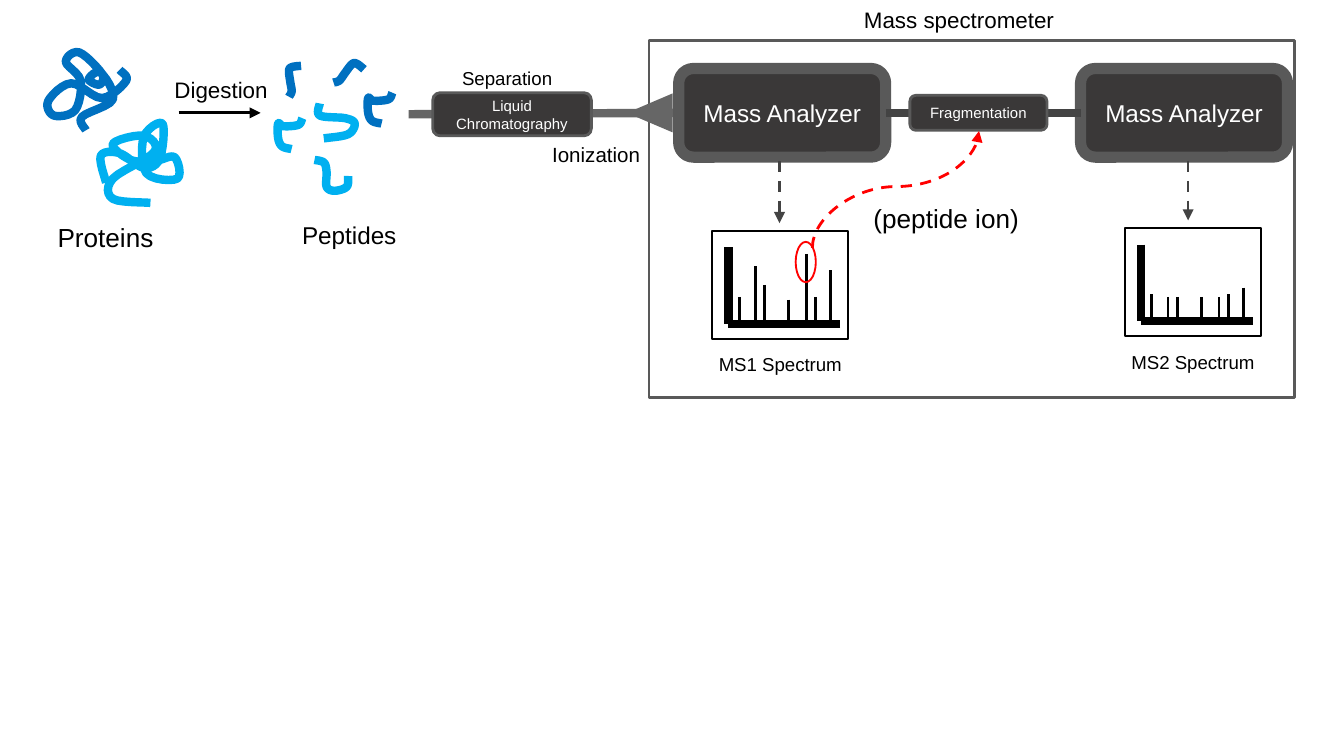
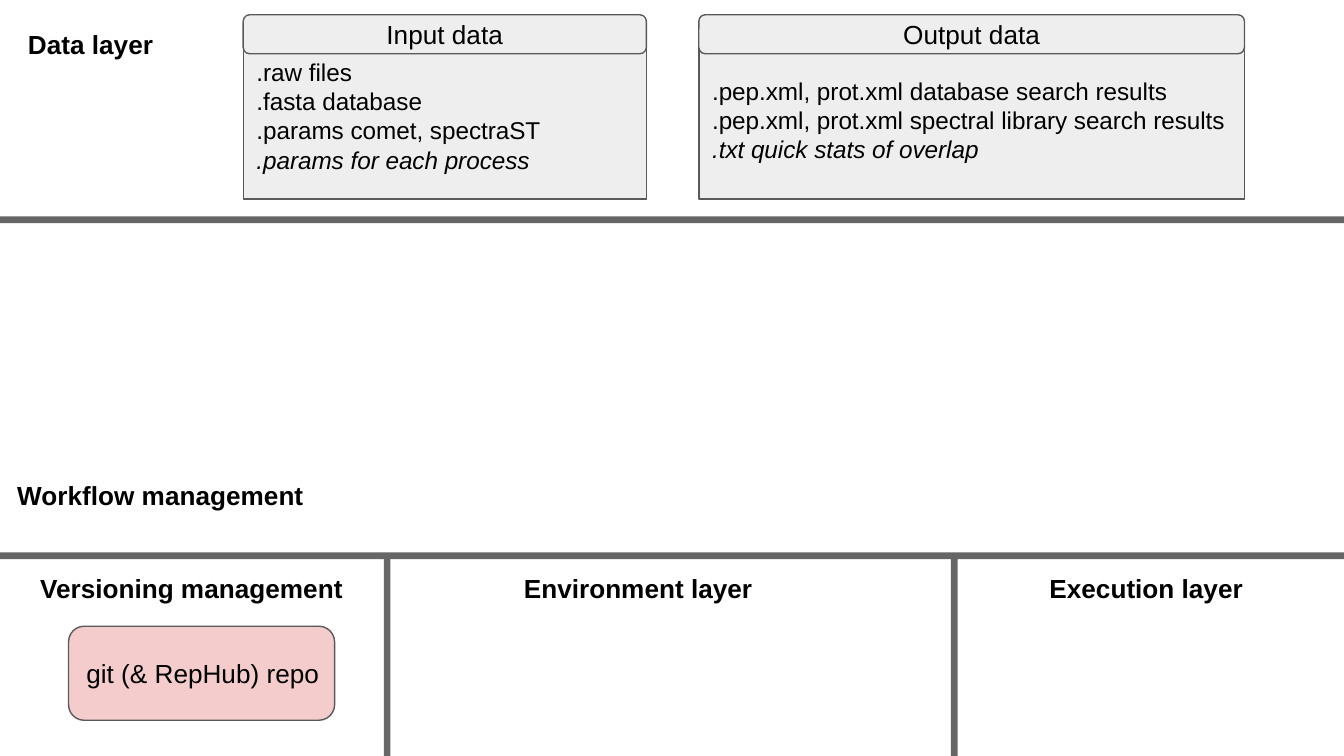
from lxml import etree
from pptx import Presentation
from pptx.dml.color import RGBColor
from pptx.enum.dml import MSO_LINE
from pptx.enum.shapes import MSO_CONNECTOR, MSO_SHAPE
from pptx.enum.text import MSO_ANCHOR, PP_ALIGN
from pptx.oxml.ns import qn
from pptx.util import Inches, Pt

RECTANGLE, ROUNDED = MSO_SHAPE.RECTANGLE, MSO_SHAPE.ROUNDED_RECTANGLE
STRAIGHT, CURVE = MSO_CONNECTOR.STRAIGHT, MSO_CONNECTOR.CURVE
LEFT, CENTER = PP_ALIGN.LEFT, PP_ALIGN.CENTER
LEFT_SIDE, RIGHT_SIDE = 1, 3

FONT = "Arial"
BLACK, WHITE, RED = "000000", "FFFFFF", "FF0000"
OUTLINE, BAND, DARK_LINE = "595959", "666666", "434343"
DEVICE, PANEL, PINK = "3A3838", "EEEEEE", "F4CCCC"
DARK_BLUE, LIGHT_BLUE = "0070C0", "00B0F0"
THIN, MEDIUM, THICK = 0.75, 1.5, 4.5
HUNDREDTH = Inches(0.01)


def add_box(slide, kind, box, text="", size=14, fill=None, line=None, width=THIN,
            colour=BLACK, align=LEFT, bold=False, inset=0.1):
    """Add a preset shape, or a text box when kind is None; box is left, top, width, height."""
    frame = [Inches(length) for length in box]
    if kind is None:
        shape = slide.shapes.add_textbox(*frame)
    else:
        shape = slide.shapes.add_shape(kind, *frame)
        shape.shadow.inherit = False
        if fill:
            shape.fill.solid()
            shape.fill.fore_color.rgb = RGBColor.from_string(fill)
        else:
            shape.fill.background()
        if line:
            shape.line.color.rgb = RGBColor.from_string(line)
            shape.line.width = Pt(width)
        else:
            shape.line.fill.background()
    if text:
        text_frame = shape.text_frame
        text_frame.word_wrap = True
        text_frame.vertical_anchor = MSO_ANCHOR.TOP if kind is None else MSO_ANCHOR.MIDDLE
        text_frame.margin_left = text_frame.margin_right = Inches(0.1)
        text_frame.margin_top = text_frame.margin_bottom = Inches(inset)
        text_frame.text = text
        for paragraph in text_frame.paragraphs:
            paragraph.alignment = align
            for run in paragraph.runs:
                run.font.name = FONT
                run.font.size = Pt(size)
                run.font.bold = bold
                run.font.color.rgb = RGBColor.from_string(colour)
    return shape


def add_line(slide, begin, end, colour, width, dash=False, arrow=False, kind=STRAIGHT):
    connector = slide.shapes.add_connector(kind, *[Inches(length) for length in (*begin, *end)])
    connector.line.color.rgb = RGBColor.from_string(colour)
    connector.line.width = Pt(width)
    if dash:
        connector.line.dash_style = MSO_LINE.DASH
    properties = connector.element.spPr
    if arrow:
        etree.SubElement(properties.find(qn("a:ln")), qn("a:tailEnd"), type="triangle")
    etree.SubElement(properties, qn("a:effectLst"))
    return connector


presentation = Presentation()
presentation.slide_width = Inches(10)
presentation.slide_height = Inches(10 * 9 / 16)
blank_layout = presentation.slide_layouts[6]

# Slide 1: from proteins to spectra
slide = presentation.slides.add_slide(blank_layout)
add_box(slide, RECTANGLE, (4.83, 0.3, 4.8, 2.66), line=OUTLINE, width=MEDIUM)

# Each outline lists only its turning points, in hundredths of an inch from its left top corner
comma = [(9, 0), (2, 1), (0, 4), (1, 12), (2, 19), (0, 23)]
hook = [(11, 23), (4, 21), (1, 15), (1, 4), (5, 6), (16, 5), (19, 0)]
bracket = [(1, 0), (1, 9), (20, 11), (27, 15), (22, 23), (4, 26)]
cup = [(0, 0), (7, 2), (9, 9), (9, 20), (15, 23), (24, 20), (25, 12)]
light_tangle = [(6, 46), (2, 26), (16, 24), (34, 35), (46, 28), (48, 2), (34, 12), (36, 39),
                (59, 43), (57, 27), (42, 30), (24, 29), (11, 17), (34, 11), (42, 23),
                (11, 43), (11, 58), (39, 61)]
dark_tangle = [(55, 13), (60, 21), (42, 34), (19, 23), (2, 36), (6, 47), (22, 43), (26, 21),
               (15, 7), (25, 0), (42, 16), (40, 24), (32, 20), (41, 15), (50, 35), (27, 48),
               (30, 58)]
strands = [  # outline, colour, left, top, rotation
    (light_tangle, LIGHT_BLUE, 0.73, 0.9, 0),
    (dark_tangle, DARK_BLUE, 0.34, 0.39, 0),
    (comma, DARK_BLUE, 2.15, 0.49, 0),
    (comma, DARK_BLUE, 2.55, 0.45, 45),
    (bracket, LIGHT_BLUE, 2.37, 0.77, 0),
    (hook, LIGHT_BLUE, 2.06, 0.88, 0),
    (hook, DARK_BLUE, 2.73, 0.69, 0),
    (cup, LIGHT_BLUE, 2.34, 1.19, 0),
]
STEPS = 6
for outline, colour, left, top, rotation in strands:
    # A Catmull-Rom spline rounds the path through the turning points
    curve_points = []
    neighbours = zip(outline[:1] + outline, outline, outline[1:], outline[2:] + outline[-1:])
    for quartet in neighbours:
        for step in range(1, STEPS + 1):
            t = step / STEPS
            curve_points.append([
                HUNDREDTH / 2 * (2 * start + (end - before) * t
                                 + (2 * before - 5 * start + 4 * end - after) * t ** 2
                                 + (3 * start - before - 3 * end + after) * t ** 3)
                for before, start, end, after in zip(*quartet)])
    first_x, first_y = outline[0]
    builder = slide.shapes.build_freeform(first_x * HUNDREDTH, first_y * HUNDREDTH)
    builder.add_line_segments(curve_points, close=False)
    strand = builder.convert_to_shape(Inches(left), Inches(top))
    strand.rotation = rotation
    strand.shadow.inherit = False
    strand.fill.background()
    strand.line.color.rgb = RGBColor.from_string(colour)
    strand.line.width = Pt(THICK)

add_line(slide, (1.33, 0.84), (1.94, 0.84), BLACK, MEDIUM, arrow=True)
add_line(slide, (3.04, 0.85), (5.01, 0.84), BAND, THICK)

first_analyzer, second_analyzer = [
    add_box(slide, ROUNDED, (left, 0.51, 1.54, 0.66), "Mass Analyzer", 13, DEVICE, OUTLINE, 6,
            WHITE, CENTER, inset=0.05)
    for left in (5.05, 8.04)]
analyzer_link = add_line(slide, (6.59, 0.84), (8.04, 0.84), DARK_LINE, THICK)
analyzer_link.begin_connect(first_analyzer, RIGHT_SIDE)
analyzer_link.end_connect(second_analyzer, LEFT_SIDE)

for text, box in [("Liquid Chromatography", (3.22, 0.69, 1.18, 0.32)),
                  ("Fragmentation", (6.77, 0.71, 1.02, 0.26))]:
    add_box(slide, ROUNDED, box, text, 8, DEVICE, OUTLINE, MEDIUM, WHITE, CENTER, inset=0.05)

peak_offsets = (0.2, 0.32, 0.39, 0.57, 0.7, 0.77, 0.88)
spectra = [  # name, left, top, arrow position, peak heights
    ("MS1 Spectrum", 5.3, 1.72, 5.8, (0.19, 0.42, 0.28, 0.17, 0.51, 0.19, 0.39)),
    ("MS2 Spectrum", 8.37, 1.7, 8.84, (0.19, 0.17, 0.17, 0.17, 0.17, 0.19, 0.24)),
]
for name, left, top, arrow_x, peak_heights in spectra:
    add_box(slide, RECTANGLE, (left, top, 1.01, 0.8), fill=WHITE, line=BLACK, width=1)
    axis_x, baseline = left + 0.12, top + 0.69
    add_line(slide, (axis_x, top + 0.12), (axis_x, baseline), BLACK, THICK)
    for offset, height in zip(peak_offsets, peak_heights):
        peak_x, foot = left + offset, baseline - 0.01
        add_line(slide, (peak_x, foot - height), (peak_x, foot), BLACK, MEDIUM)
    add_line(slide, (left + 0.95, baseline), (axis_x, baseline), BLACK, THICK)
    add_box(slide, None, (left - 0.05, top + 0.86, 1.27, 0.23), name, 10, inset=0.05)
    add_line(slide, (arrow_x, 1.2), (arrow_x, top - 0.06), DARK_LINE, MEDIUM, True, True)

add_box(slide, MSO_SHAPE.OVAL, (5.92, 1.8, 0.15, 0.3), line=RED, width=1)
# The curve is laid out sideways, then turned so that it leaves the chosen peak upwards
ion_path = add_line(slide, (6.23, 0.79), (7.1, 2.03), RED, MEDIUM, True, True, CURVE)
ion_properties = ion_path.element.spPr
ion_properties.find(qn("a:xfrm")).set("rot", str(270 * 60000))
adjustments = ion_properties.find(qn("a:prstGeom")).find(qn("a:avLst"))
etree.SubElement(adjustments, qn("a:gd"), name="adj1", fmla="val 52500")

ion_source = add_box(slide, MSO_SHAPE.FLOWCHART_EXTRACT, (4.69, 0.67, 0.29, 0.34), fill=BAND)
ion_source.rotation = 270

for text, size, left, top, width in [
    ("Separation", 10, 3.34, 0.45, 0.93),
    ("Peptides", 13, 2.15, 1.59, 0.93),
    ("Proteins", 14, 0.33, 1.6, 0.93),
    ("Digestion", 12, 1.2, 0.52, 0.93),
    ("(peptide ion)", 14, 6.4, 1.46, 1.82),
    ("Ionization", 11, 4.01, 1.01, 0.93),
    ("Mass spectrometer", 12, 6.33, 0, 1.97),
]:
    add_box(slide, None, (left, top, width, 0.25), text, size, inset=0.05)

# Slide 2: layers of the workflow
slide = presentation.slides.add_slide(blank_layout)
PANEL_BOTTOM = 1.48
data_panels = [  # heading, left, width, top, entries
    ("Output data", 5.2, 4.06, 0.3, [".pep.xml, prot.xml database search results",
                                     ".pep.xml, prot.xml spectral library search results",
                                     ".txt quick stats of overlap"]),
    ("Input data", 1.81, 3, 0.24, [".raw files", ".fasta database",
                                   ".params comet, spectraST", ".params for each process"]),
]
for heading, left, width, top, entries in data_panels:
    panel = add_box(slide, RECTANGLE, (left, top, width, PANEL_BOTTOM - top),
                    "\n".join(entries), 13, PANEL, OUTLINE)
    panel.text_frame.paragraphs[-1].runs[0].font.italic = True
    add_box(slide, ROUNDED, (left, 0.11, width, 0.29), heading, 14, PANEL, OUTLINE, align=CENTER)

for top in (1.61, 4.11):
    add_box(slide, RECTANGLE, (-0.18, top, 10.27, 0.05), fill=BAND)
for left in (2.04, 6.26):
    divider = add_box(slide, RECTANGLE, (left, 4.97, 1.68, 0.05), fill=BAND)
    divider.rotation = 90

for text, left, top, width in [
    ("Data layer", 0.11, 0.11, 2.5),
    ("Workflow management", 0.03, 3.47, 2.5),
    ("Versioning management", 0.2, 4.16, 2.86),
    ("Environment layer", 3.8, 4.16, 2.86),
    ("Execution layer", 7.71, 4.16, 1.79),
]:
    add_box(slide, None, (left, top, width, 0.44), text, bold=True)
repository = add_box(slide, ROUNDED, (0.51, 4.66, 1.98, 0.7), "git (& RepHub) repo", 14,
                     PINK, OUTLINE)
repository.text_frame.margin_right = 0

presentation.save("out.pptx")
